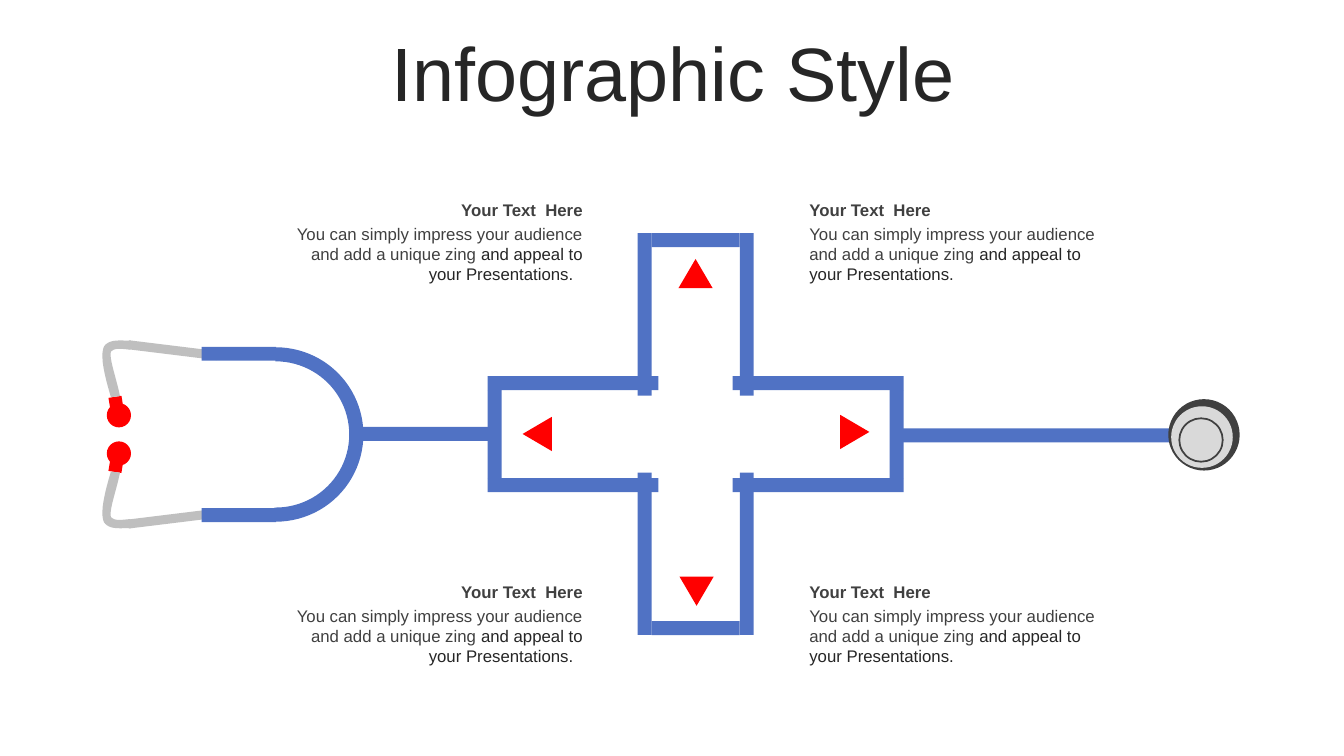
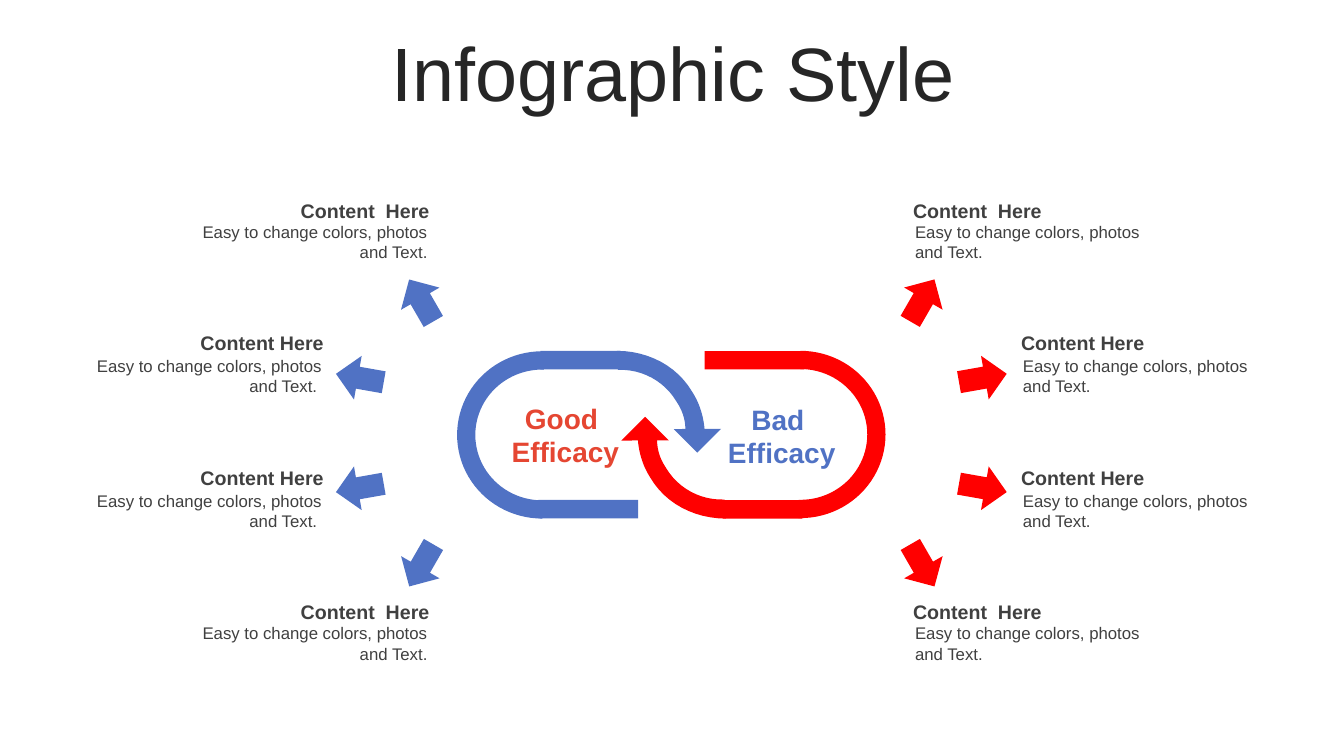
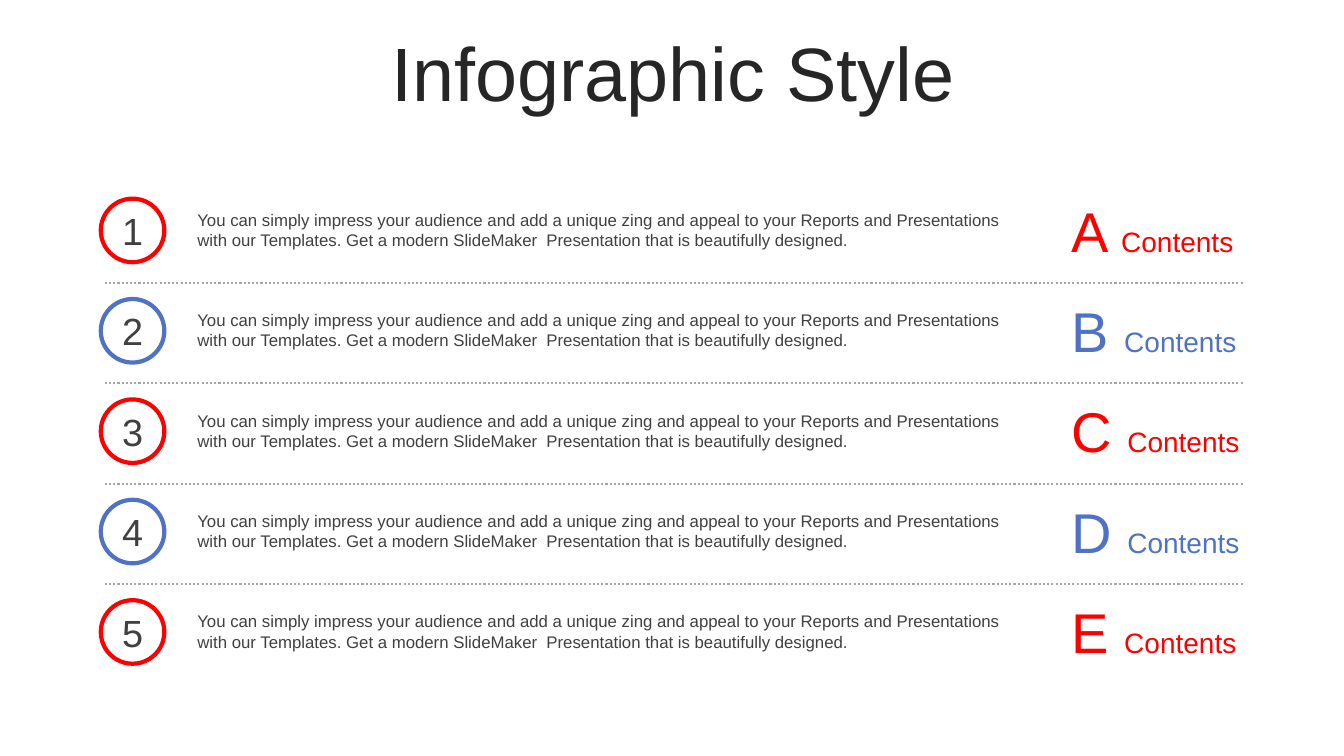
"""Build three medical infographic slides with a shared title style and palette."""

import dataclasses
import typing

import pptx
import pptx.dml.color
import pptx.enum.dml
import pptx.enum.shapes
import pptx.enum.text
import pptx.oxml.xmlchemy
import pptx.shapes.autoshape
import pptx.slide
import pptx.text.text
import pptx.util

Pt = pptx.util.Pt
RGBColor = pptx.dml.color.RGBColor
Shapes = pptx.enum.shapes.MSO_SHAPE
Align = pptx.enum.text.PP_ALIGN
Anchor = pptx.enum.text.MSO_ANCHOR
Slide = pptx.slide.Slide

BLUE = RGBColor(0x50, 0x72, 0xC4)
RED = RGBColor(0xFF, 0x00, 0x00)
CORAL = RGBColor(0xE5, 0x46, 0x32)
INK = RGBColor(0x26, 0x26, 0x26)
CHARCOAL = RGBColor(0x40, 0x40, 0x40)
SILVER = RGBColor(0xD9, 0xD9, 0xD9)
STEEL = RGBColor(0xBF, 0xBF, 0xBF)
DOT_GREY = RGBColor(0xA6, 0xA6, 0xA6)
FONT = "Arial"
TUBE = 10
CURVE_STEPS = 12


class Point(typing.NamedTuple):
    x: float
    y: float


class Box(typing.NamedTuple):
    left: float
    top: float
    width: float
    height: float

    def mirrored(self, axis: float) -> "Box":
        return self._replace(top=2 * axis - self.top - self.height)

    def half_turned(self, center: Point) -> "Box":
        return self.mirrored(center.y)._replace(left=2 * center.x - self.left - self.width)


class Run(typing.NamedTuple):
    text: str
    color: RGBColor = CHARCOAL
    size: float = 12
    bold: bool = False


@dataclasses.dataclass(frozen=True)
class Caption:
    left: float
    top: float
    width: float
    heading: Run
    body: tuple[Run, ...]
    align: Align
    gap: float
    body_height: float
    inset: float = 0


@dataclasses.dataclass(frozen=True)
class Part:
    kind: Shapes
    box: Box
    rotation: float = 0
    adjustments: tuple[float, ...] = ()


Paragraphs = typing.Sequence[typing.Sequence[Run]]
Segment = tuple[Point, ...]


def write_text(
    frame: pptx.text.text.TextFrame,
    paragraphs: Paragraphs,
    *,
    align: Align = Align.LEFT,
    anchor: Anchor = Anchor.TOP,
    insets: tuple[float, float, float, float] = (7.2, 3.6, 7.2, 3.6),
    line_spacing: float | None = None,
    grow: bool = False,
) -> None:
    frame.word_wrap = True
    frame.vertical_anchor = anchor
    frame.margin_left, frame.margin_top, frame.margin_right, frame.margin_bottom = map(Pt, insets)
    if grow:
        frame.auto_size = pptx.enum.text.MSO_AUTO_SIZE.SHAPE_TO_FIT_TEXT
    for index, runs in enumerate(paragraphs):
        paragraph = frame.add_paragraph() if index else frame.paragraphs[0]
        paragraph.alignment = align
        if line_spacing:
            paragraph.line_spacing = line_spacing
        for item in runs:
            run = paragraph.add_run()
            run.text = item.text
            run.font.name = FONT
            run.font.size = Pt(item.size)
            run.font.bold = item.bold
            run.font.color.rgb = item.color


def add_text(slide: Slide, box: Box, paragraphs: Paragraphs, **text_format: typing.Any) -> None:
    write_text(slide.shapes.add_textbox(*map(Pt, box)).text_frame, paragraphs, **text_format)


def add_shape(
    slide: Slide,
    part: Part,
    fill: RGBColor | None = None,
    line: RGBColor | None = None,
    line_width: float = 1,
) -> pptx.shapes.autoshape.Shape:
    shape = slide.shapes.add_shape(part.kind, *map(Pt, part.box))
    shape.rotation = part.rotation
    for index, value in enumerate(part.adjustments):
        shape.adjustments[index] = value
    paint(shape, fill, line, line_width)
    return shape


def paint(
    shape: pptx.shapes.autoshape.Shape,
    fill: RGBColor | None,
    line: RGBColor | None = None,
    line_width: float = 1,
) -> None:
    shape.shadow.inherit = False
    if fill is None:
        shape.fill.background()
    else:
        shape.fill.solid()
        shape.fill.fore_color.rgb = fill
    if line is None:
        shape.line.fill.background()
    else:
        shape.line.color.rgb = line
        shape.line.width = Pt(line_width)


def add_bar(slide: Slide, box: Box) -> None:
    add_shape(slide, Part(Shapes.RECTANGLE, box), BLUE)


def bezier(start: Point, controls: Segment) -> list[Point]:
    points = []
    for step in range(1, CURVE_STEPS + 1):
        t = step / CURVE_STEPS
        weights = ((1 - t) ** 3, 3 * t * (1 - t) ** 2, 3 * t**2 * (1 - t), t**3)
        knots = (start, *controls)
        points.append(
            Point(
                sum(weight * knot.x for weight, knot in zip(weights, knots)),
                sum(weight * knot.y for weight, knot in zip(weights, knots)),
            )
        )
    return points


def trace(start: Point, segments: typing.Iterable[Segment]) -> list[Point]:
    points = [start]
    for segment in segments:
        points += bezier(points[-1], segment) if len(segment) == 3 else segment
    return points


def add_outline(slide: Slide, points: list[Point], fill: RGBColor) -> None:
    start, *others = [(Pt(point.x), Pt(point.y)) for point in points]
    builder = slide.shapes.build_freeform(*start, scale=1.0)
    builder.add_line_segments(others, close=True)
    paint(builder.convert_to_shape(), fill)


def add_dotted_line(slide: Slide, left: float, right: float, y: float) -> None:
    connector = slide.shapes.add_connector(
        pptx.enum.shapes.MSO_CONNECTOR.STRAIGHT, Pt(left), Pt(y), Pt(right), Pt(y)
    )
    connector.line.color.rgb = DOT_GREY
    connector.line.width = Pt(1.5)
    connector.line.dash_style = pptx.enum.dml.MSO_LINE.ROUND_DOT
    connector._element.spPr.append(pptx.oxml.xmlchemy.OxmlElement("a:effectLst"))


def add_caption(slide: Slide, caption: Caption) -> None:
    body_box = Box(
        caption.left + caption.inset,
        caption.top + caption.gap,
        caption.width - 2 * caption.inset,
        caption.body_height,
    )
    heading_box = Box(caption.left, caption.top, caption.width, caption.heading.size * 1.2 + 7.2)
    add_text(slide, body_box, [caption.body], align=caption.align, grow=True)
    add_text(slide, heading_box, [[caption.heading]], align=caption.align, grow=True)


def add_titled_slide(presentation: typing.Any) -> Slide:
    slide = presentation.slides.add_slide(presentation.slide_layouts[6])
    title = Run("Infographic Style", INK, 54)
    add_text(
        slide, Box(25.2, 26.6, 911.5, 56.9), [[title]],
        align=Align.CENTER, anchor=Anchor.MIDDLE, line_spacing=0.9,
    )
    return slide


def draw_headset(slide: Slide) -> None:
    axis = 310.3
    hook = trace(
        Point(93.6, 243.4),
        [
            (Point(86.4, 243.4), Point(77.8, 241.9), Point(74.2, 247.7)),
            (Point(70.6, 255.6), Point(77, 275.8), Point(79.2, 283.7)),
            (Point(85.7, 283),),
            (Point(83.5, 271.4), Point(77.8, 256.3), Point(79.2, 251.3)),
            (Point(82.1, 248.4), Point(85.7, 249.1), Point(92.9, 249.8)),
        ],
    )
    parts = [
        (Part(Shapes.OVAL, Box(76.3, 288, 17.3, 17.3)), RED),
        (Part(Shapes.RECTANGLE, Box(78.5, 283, 8.6, 9.4), 80.7), RED),
        (Part(Shapes.RECTANGLE, Box(120.2, 218.2, 6.5, 64), 97), STEEL),
        (Part(Shapes.RECTANGLE, Box(144, 247.7, 53.3, TUBE)), BLUE),
    ]
    for part, color in parts:
        add_shape(slide, part, color)
        lower = dataclasses.replace(part, box=part.box.mirrored(axis), rotation=-part.rotation)
        add_shape(slide, lower, color)
    add_outline(slide, hook, STEEL)
    add_outline(slide, [Point(point.x, 2 * axis - point.y) for point in hook], STEEL)
    arc = Part(Shapes.BLOCK_ARC, Box(134.6, 247.7, 124.6, 125.3), 90, (107.894, 0.663, 0.081))
    add_shape(slide, arc, BLUE)
    add_bar(slide, Box(257.4, 304.9, 94.3, TUBE))


def draw_chest_piece(slide: Slide) -> None:
    add_bar(slide, Box(645, 306, 193, TUBE))
    add_shape(slide, Part(Shapes.OVAL, Box(834.5, 285.1, 51, 51)), CHARCOAL)
    add_shape(slide, Part(Shapes.OVAL, Box(836.6, 290.2, 44, 44)), SILVER)
    add_shape(slide, Part(Shapes.OVAL, Box(842.4, 298.8, 31, 31)), SILVER, CHARCOAL, 1.25)


def draw_cross(slide: Slide) -> None:
    center = Point(496.9, 310.1)
    outer, inner = 36.5 + TUBE / 2, 36.5 - TUBE / 2
    reach_x, reach_y = 148.6, 143.5
    for offset in (-outer, inner):
        for arm in (-reach_y, inner - 4):
            add_bar(slide, Box(center.x + offset, center.y + arm, TUBE, reach_y - inner + 4))
        for arm in (-reach_x, inner - 5):
            add_bar(slide, Box(center.x + arm, center.y + offset, reach_x - inner + 5, TUBE))
    for cap in (-reach_y, reach_y - TUBE):
        add_bar(slide, Box(center.x - inner, center.y + cap, 2 * inner, TUBE))
    for cap in (-reach_x, reach_x - TUBE):
        add_bar(slide, Box(center.x + cap, center.y - inner, TUBE, 2 * inner))
    corners = (Point(484.6, 185), Point(598.3, 298.1), Point(485.3, 411.8), Point(371.5, 299.5))
    for turn, corner in enumerate(corners):
        pointer = Part(Shapes.ISOSCELES_TRIANGLE, Box(*corner, 24.5, 20.9), 90 * turn)
        add_shape(slide, pointer, RED)


def build_stethoscope_slide(slide: Slide) -> None:
    draw_chest_piece(slide)
    draw_headset(slide)
    draw_cross(slide)
    columns = (
        (200.2, 223.2, Align.RIGHT, "and appeal to your Presentations.  "),
        (571, 221.8, Align.LEFT, "and appeal to your Presentations."),
    )
    for left, width, align, ending in columns:
        body = (
            Run("You can simply impress your audience and add a unique zing "),
            Run(ending, INK),
        )
        for top in (139, 411.9):
            heading = Run("Your Text  Here", bold=True)
            add_caption(slide, Caption(left, top, width, heading, body, align, 17.3, 51.1))


def draw_link(slide: Slide) -> None:
    center = Point(479.5, 310.5)
    hook = trace(
        Point(440.6, 250.6),
        [
            (Point(463, 250.6), Point(483.8, 261.4), Point(494.6, 280.1)),
            (Point(499.7, 288), Point(502.6, 297.4), Point(503.3, 306.7)),
            (Point(489.6, 306.7),),
            (Point(489.6, 299.5), Point(487.4, 293), Point(483.1, 286.6)),
            (Point(474.5, 272.2), Point(458.6, 263.5), Point(441.4, 264.2)),
        ],
    )
    parts = (
        Part(Shapes.BLOCK_ARC, Box(327.6, 249.8, 119.5, 121.7), 270, (108, 0.851, 0.109)),
        Part(Shapes.RECTANGLE, Box(385.9, 250.6, 56.9, 13.2)),
        Part(Shapes.RECTANGLE, Box(384.5, 357.1, 71.3, 13.2)),
        Part(Shapes.RIGHT_TRIANGLE, Box(486.2, 294.5, 24, 23.8), 315),
    )
    for part in parts:
        add_shape(slide, part, BLUE)
    add_outline(slide, hook, BLUE)
    for part in parts:
        turned = dataclasses.replace(
            part, box=part.box.half_turned(center), rotation=(part.rotation + 180) % 360
        )
        add_shape(slide, turned, RED)
    turned_hook = [Point(2 * center.x - point.x, 2 * center.y - point.y) for point in hook]
    add_outline(slide, turned_hook, RED)


def build_efficacy_slide(slide: Slide) -> None:
    labels = (
        (Box(357.8, 286.6, 89.3, 48.2), "Good ", CORAL),
        (Box(510.5, 287.3, 92.9, 48.2), "Bad ", BLUE),
    )
    for box, word, color in labels:
        lines = [[Run(text, color, 20, True)] for text in (word, "Efficacy")]
        add_text(slide, box, lines, align=Align.CENTER, insets=(5.8, 0, 2.9, 0), grow=True)
    draw_link(slide)

    outer_left, inner_left, outer_right, inner_right = 285.1, 241.2, 643, 686.2
    arrow_rows = (
        (197.3, outer_left, outer_right, 30),
        (252.7, inner_left, inner_right, 80),
        (331.2, inner_left, inner_right, 100),
        (386.6, outer_left, outer_right, 150),
    )
    for top, left, right, angle in arrow_rows:
        for x, rotation, color in ((left, -angle, BLUE), (right, angle, RED)):
            arrow = Part(Shapes.UP_ARROW, Box(x, top, 31.7, 34.6), rotation)
            add_shape(slide, arrow, color)

    sentence = "Easy to change colors, photos and Text."
    columns = (
        (645.1, 196.6, Align.LEFT, True, sentence),
        (722.2, 178.6, Align.LEFT, False, sentence),
        (123.1, 190.8, Align.RIGHT, True, sentence),
        (56.2, 182.2, Align.RIGHT, False, sentence + " "),
    )
    for left, width, align, is_outer, text in columns:
        heading = Run("Content  Here" if is_outer else "Content Here", size=14, bold=True)
        gap = 16.8 if is_outer else 18
        for top in (138.2, 424.8) if is_outer else (232.6, 329):
            add_caption(
                slide, Caption(left, top, width, heading, (Run(text),), align, gap, 36, 1.4)
            )


def build_list_slide(slide: Slide) -> None:
    pitch = 71.7
    description = Run(
        "You can simply impress your audience and add a unique zing and appeal to your Reports "
        "and Presentations with our Templates. Get a modern SlideMaker  Presentation that is "
        "beautifully designed."
    )
    for index, letter in enumerate("ABCDE"):
        shift = index * pitch
        color = BLUE if index % 2 else RED
        if index:
            add_dotted_line(slide, 74.9, 888.5, 202.2 + shift - pitch)
        badge = Part(Shapes.OVAL, Box(72, 141.9 + shift, 45.4, 45.4))
        circle = add_shape(slide, badge, line=color, line_width=3)
        write_text(
            circle.text_frame, [[Run(str(index + 1), size=27)]],
            align=Align.CENTER, anchor=Anchor.MIDDLE,
        )
        add_text(slide, Box(133.9, 146.2 + shift, 590.4, 36), [[description]], grow=True)
        label = [Run(letter + " ", color, 40), Run("Contents", color, 20)]
        add_text(slide, Box(758.2, 136.6 + shift, 136.8, 55.4), [label], grow=True)


def main() -> None:
    presentation = pptx.Presentation()
    presentation.slide_width = Pt(960)
    presentation.slide_height = Pt(540)
    for build in (build_stethoscope_slide, build_efficacy_slide, build_list_slide):
        build(add_titled_slide(presentation))
    presentation.save("out.pptx")


if __name__ == "__main__":
    main()
